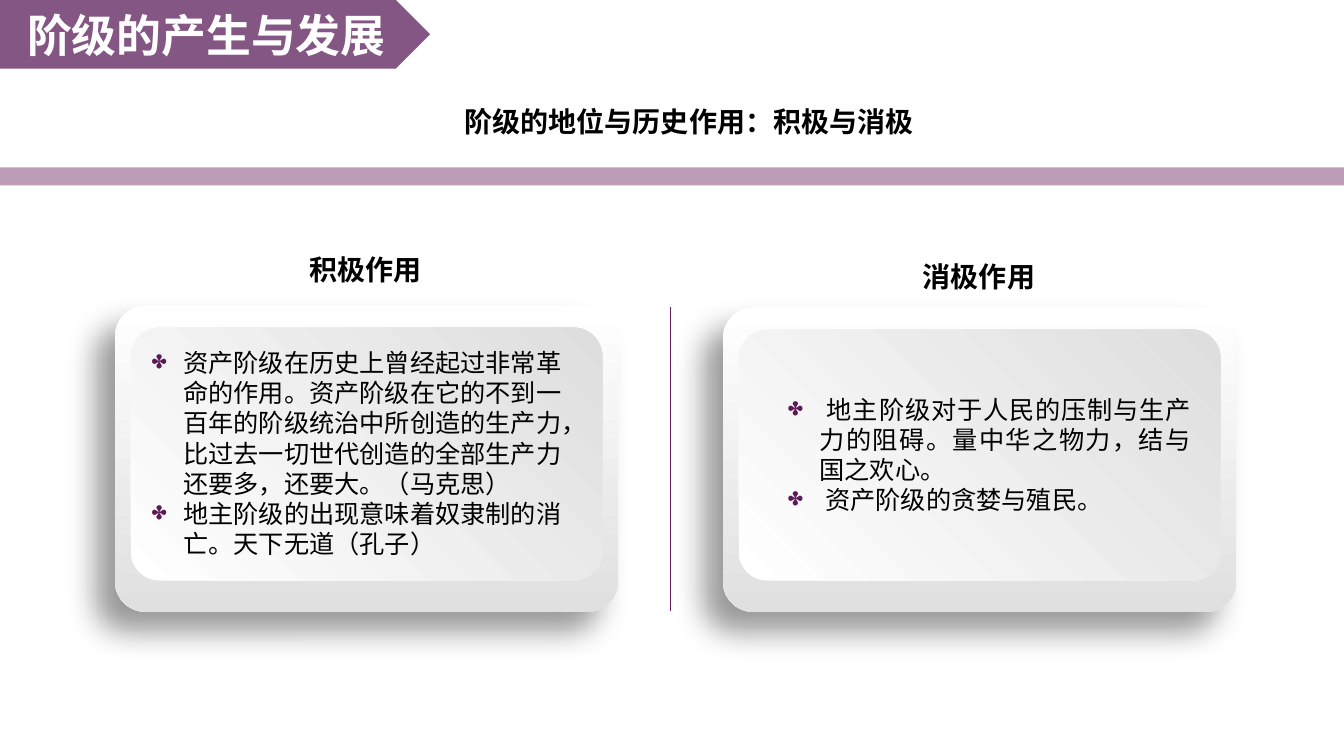
from lxml import etree
from pptx import Presentation
from pptx.dml.color import RGBColor
from pptx.enum.shapes import MSO_CONNECTOR, MSO_SHAPE
from pptx.enum.text import MSO_ANCHOR, PP_ALIGN
from pptx.oxml.ns import qn
from pptx.util import Inches, Pt

RECT, ROUND, PLATE = MSO_SHAPE.RECTANGLE, MSO_SHAPE.ROUNDED_RECTANGLE, MSO_SHAPE.PENTAGON
STRAIGHT = MSO_CONNECTOR.STRAIGHT
LEFT, CENTER, JUSTIFY = PP_ALIGN.LEFT, PP_ALIGN.CENTER, PP_ALIGN.JUSTIFY
MIDDLE, TOP = MSO_ANCHOR.MIDDLE, MSO_ANCHOR.TOP

WHITE = RGBColor(0xFF, 0xFF, 0xFF)
BLACK = RGBColor(0, 0, 0)
PLUM = RGBColor(0x5A, 0x1B, 0x58)
PURPLE = RGBColor(0x6A, 0x1F, 0x5F)
BULLET = RGBColor(0x5B, 0x1A, 0x56)
CARD_GREY = RGBColor(0xE0, 0xE0, 0xE0)
PANEL_GREY = RGBColor(0xDD, 0xDE, 0xDD)
FONT = "Noto Sans CJK SC"
WIDTH, HEIGHT = 13.33, 7.5
HEAD_W, HEAD_H = 1.32, 0.44


def add_child(parent, tag, **attrs):
    """Append a DrawingML element and return it."""
    return etree.SubElement(parent, qn(tag), attrs)


def add_block(s, kind, box):
    """Add a preset shape without outline or shadow."""
    sp = s.shapes.add_shape(kind, *map(Inches, box))
    sp.shadow.inherit = False
    sp.line.fill.background()
    return sp


def fill_tint(sp, color, alpha):
    """Fill a shape with a colour of the given opacity in percent."""
    sp.fill.solid()
    sp.fill.fore_color.rgb = color
    clr = sp.fill._xPr.find(qn("a:solidFill"))[0]
    add_child(clr, "a:alpha", val=str(alpha * 1000))


def fill_gradient(sp, end, angle):
    """Fill a shape from white to the end colour."""
    sp.fill.gradient()
    sp.fill.gradient_angle = angle
    for stop, position, color in zip(sp.fill.gradient_stops, (0, 1), (WHITE, end)):
        stop.position = position
        stop.color.rgb = color


def drop_shadow(sp):
    """Cast a soft shadow towards the lower left."""
    effects = sp._element.spPr.find(qn("a:effectLst"))
    shadow = add_child(effects, "a:outerShdw", blurRad=str(Pt(22)), dist=str(Pt(20)),
                       dir=str(135 * 60000), algn="tr", rotWithShape="0")
    clr = add_child(shadow, "a:srgbClr", val=str(BLACK))
    add_child(clr, "a:alpha", val="40000")


def add_bullet(p):
    """Give a paragraph a hanging floral bullet."""
    pPr = p._p.get_or_add_pPr()
    pPr.set("marL", str(Inches(0.31)))
    pPr.set("indent", str(-Inches(0.31)))
    add_child(add_child(pPr, "a:buClr"), "a:srgbClr", val=str(BULLET))
    add_child(pPr, "a:buChar", char="✤")


def write(sp, lines, size, color=BLACK, bold=False, align=LEFT, anchor=TOP,
          wrap=True, bullets=False):
    """Write formatted paragraphs into a shape."""
    tf = sp.text_frame
    tf.text = "\n".join(lines)
    tf.word_wrap = wrap
    tf.vertical_anchor = anchor
    for p in tf.paragraphs:
        p.alignment = align
        if bullets:
            add_bullet(p)
        for r in p.runs:
            r.font.size, r.font.bold = Pt(size), bold
            r.font.color.rgb = color
            r.font.name = FONT
            add_child(r._r.get_or_add_rPr(), "a:ea", typeface=FONT)


def add_text(s, box, lines, size, **style):
    """Add a text box with formatted paragraphs."""
    write(s.shapes.add_textbox(*map(Inches, box)), lines, size, **style)


def add_header(s, title, subtitle):
    """Place the title arrow, the subtitle and the band below."""
    plate = add_block(s, PLATE, (0, 0, 0.32 * WIDTH, 0.68))
    fill_tint(plate, PLUM, 74)
    write(plate, [title], 32, color=WHITE, bold=True, align=CENTER, anchor=MIDDLE)
    fill_tint(add_block(s, RECT, (0, 1.66, WIDTH, 0.18)), PURPLE, 44)
    add_text(s, (4.51, 0.99, 4.79, HEAD_H), [subtitle], 20, bold=True)


def add_divider(s, x, top, bottom):
    """Draw the thin upright line between the columns."""
    line = s.shapes.add_connector(STRAIGHT, Inches(x), Inches(top), Inches(x), Inches(bottom))
    line.line.color.rgb = PURPLE
    line.line.width = Pt(0.5)
    add_child(line._element.spPr, "a:effectLst")


def add_column(s, box, heading, head_top, lines, text_size, inset, align):
    """Place a layered card with its heading above and bullets inside."""
    x, y, w, h = box
    card = add_block(s, ROUND, box)
    card.adjustments[0] = 0.1
    fill_gradient(card, CARD_GREY, 270)
    drop_shadow(card)
    panel_y, panel_h = y + 0.22, h - 0.53
    panel = add_block(s, ROUND, (x + 0.155, panel_y, w - 0.31, panel_h))
    panel.adjustments[0] = 0.115
    fill_gradient(panel, PANEL_GREY, 45)
    add_text(s, (x + (w - HEAD_W) / 2, head_top, HEAD_W, HEAD_H), [heading], 20,
             bold=True, wrap=False)
    text_w, text_h = text_size
    add_text(s, (x + inset, panel_y + (panel_h - text_h) / 2, text_w, text_h),
             lines, 18, align=align, bullets=True)


def main():
    """Build the slide and save it."""
    prs = Presentation()
    prs.slide_width, prs.slide_height = Inches(WIDTH), Inches(HEIGHT)
    s = prs.slides.add_slide(prs.slide_layouts[6])
    add_header(s, "阶级的产生与发展", "阶级的地位与历史作用：积极与消极")
    add_divider(s, 6.65, 3.05, 6.06)
    add_column(s, (1.14, 3.03, 4.99, 3.04), "积极作用", 2.46, [
        "资产阶级在历史上曾经起过非常革命的作用。资产阶级在它的不到一百年的阶级统治中"
        "所创造的生产力，比过去一切世代创造的全部生产力还要多，还要大。（马克思）",
        "地主阶级的出现意味着奴隶制的消亡。天下无道（孔子）",
    ], (4.44, 2.22), 0.27, LEFT)
    add_column(s, (7.17, 3.05, 5.09, 3.02), "消极作用", 2.53, [
        " 地主阶级对于人民的压制与生产力的阻碍。量中华之物力，结与国之欢心。",
        " 资产阶级的贪婪与殖民。",
    ], (4.19, 1.31), 0.55, JUSTIFY)
    prs.save("out.pptx")


if __name__ == "__main__":
    main()
